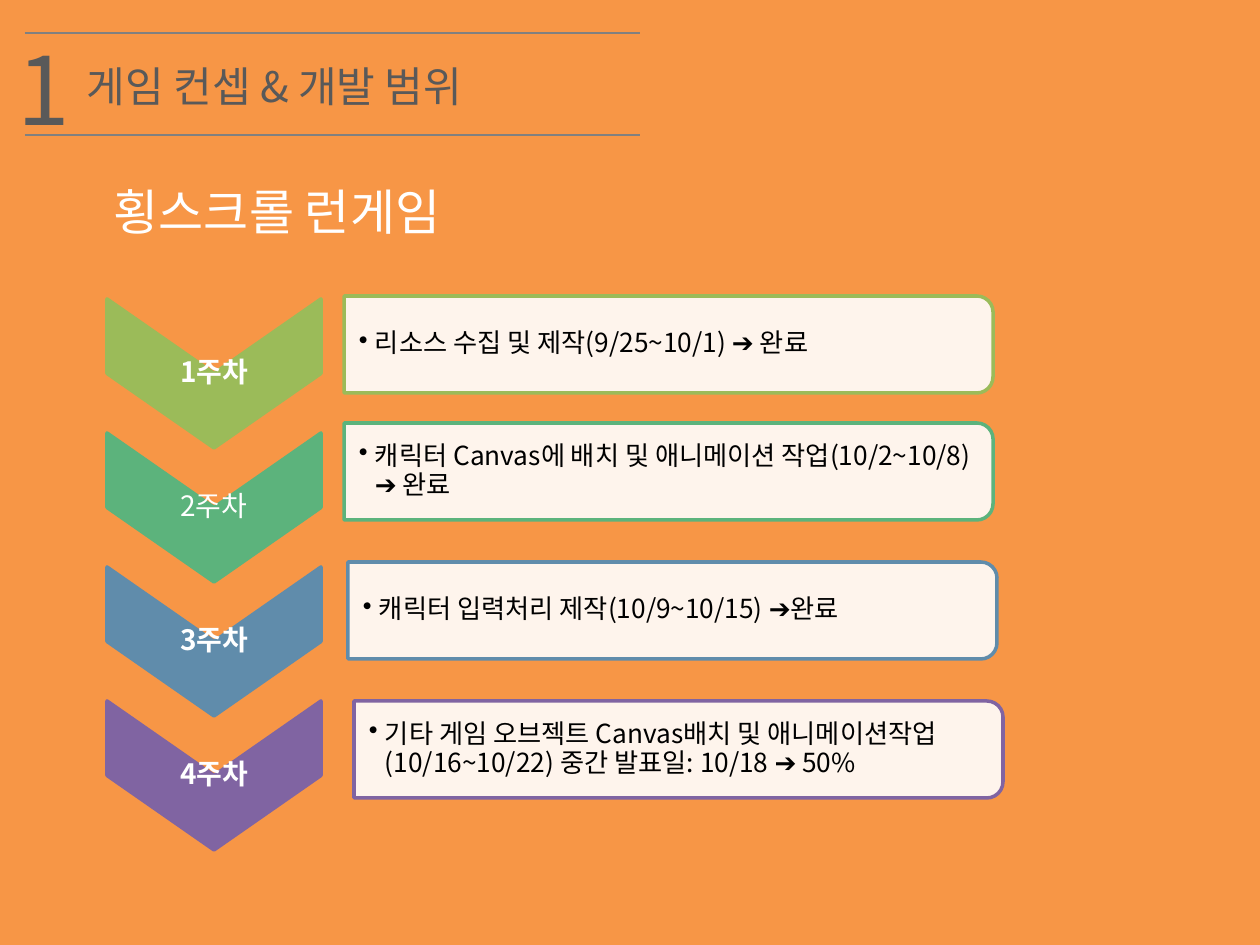
from lxml import etree
from pptx import Presentation
from pptx.dml.color import RGBColor
from pptx.enum.shapes import MSO_CONNECTOR, MSO_SHAPE
from pptx.enum.text import MSO_ANCHOR, PP_ALIGN
from pptx.oxml.ns import qn
from pptx.util import Emu, Pt

RECTANGLE = MSO_SHAPE.RECTANGLE
CHEVRON = MSO_SHAPE.CHEVRON
CARD = MSO_SHAPE.ROUND_2_SAME_RECTANGLE
STRAIGHT = MSO_CONNECTOR.STRAIGHT
TOP, MIDDLE = MSO_ANCHOR.TOP, MSO_ANCHOR.MIDDLE
LEFT, CENTER = PP_ALIGN.LEFT, PP_ALIGN.CENTER

FONT = "Noto Sans CJK KR"
ORANGE, WHITE, BLACK = "F79646", "FFFFFF", "000000"
DARK_GRAY, LINE_GRAY = "595959", "808080"

WEEK_PITCH = 134
WEEKS = [
    ("1주차", True, "9BBB59", 344, 296,
     "리소스 수집 및 제작(9/25~10/1) ➔ 완료"),
    ("2주차", False, "5CB37C", 344, 423,
     "캐릭터 Canvas에 배치 및 애니메이션 작업(10/2~10/8) ➔ 완료"),
    ("3주차", True, "608CAB", 348, 562,
     "캐릭터 입력처리 제작(10/9~10/15) ➔완료"),
    ("4주차", True, "8064A2", 354, 701,
     "기타 게임 오브젝트 Canvas배치 및 애니메이션작업(10/16~10/22) 중간 발표일: 10/18 ➔ 50%"),
]


def px(length):
    return Emu(round(length * 914400 / 126))


def color(value):
    return RGBColor.from_string(value)


def write_text(frame, text, size, fill, bold=False, align=LEFT, spacing=1.0, bullet_indent=0):
    paragraph = frame.paragraphs[0]
    paragraph.alignment = align
    paragraph.line_spacing = spacing
    if bullet_indent:
        properties = paragraph._p.get_or_add_pPr()
        properties.set("marL", str(px(bullet_indent)))
        properties.set("indent", str(-px(bullet_indent)))
        etree.SubElement(properties, qn("a:buChar")).set("char", "•")
    run = paragraph.add_run()
    run.text = text
    run.font.size = Pt(size)
    run.font.bold = bold
    run.font.color.rgb = color(fill)
    run.font.name = FONT
    etree.SubElement(run._r.get_or_add_rPr(), qn("a:ea")).set("typeface", FONT)


class SlideBuilder:
    def __init__(self, slide):
        self.slide = slide

    def shape(self, kind, left, top, width, height, fill, line=None, quarter_turn=False, opacity=100):
        if quarter_turn:
            left, top = left + (width - height) / 2, top + (height - width) / 2
            width, height = height, width
        shape = self.slide.shapes.add_shape(kind, px(left), px(top), px(width), px(height))
        shape.shadow.inherit = False
        shape.rotation = 90 if quarter_turn else 0
        shape.fill.solid()
        shape.fill.fore_color.rgb = color(fill)
        if opacity < 100:
            fill_color = shape._element.spPr.find(qn("a:solidFill"))[0]
            etree.SubElement(fill_color, qn("a:alpha")).set("val", str(opacity * 1000))
        if line:
            shape.line.color.rgb = color(line)
            shape.line.width = Pt(2)
        else:
            shape.line.fill.background()

    def rule(self, left, right, y):
        connector = self.slide.shapes.add_connector(STRAIGHT, px(left), px(y), px(right), px(y))
        connector.line.color.rgb = color(LINE_GRAY)
        connector.line.width = Pt(0.75)
        etree.SubElement(connector._element.spPr, qn("a:effectLst"))

    def text(self, left, top, width, height, text, insets=(13, 6, 13, 6), anchor=TOP, **text_format):
        box = self.slide.shapes.add_textbox(px(left), px(top), px(width), px(height))
        frame = box.text_frame
        frame.word_wrap = True
        frame.vertical_anchor = anchor
        frame.margin_left, frame.margin_top, frame.margin_right, frame.margin_bottom = map(px, insets)
        write_text(frame, text, **text_format)

    def week(self, index, label, bold, accent, card_left, card_top, task):
        top = 299 + index * WEEK_PITCH
        self.shape(CHEVRON, 107, top, 214, 149, accent, accent, quarter_turn=True)
        self.text(107, top, 214, 149, label, insets=(1, 1, 1, 1), anchor=MIDDLE,
                  size=16, fill=WHITE, bold=bold, align=CENTER, spacing=0.9)
        self.shape(CARD, card_left, card_top, 649, 97, WHITE, accent, quarter_turn=True, opacity=90)
        self.text(card_left, card_top + 5, 644, 87, task, insets=(15, 1, 1, 1), anchor=MIDDLE,
                  size=15, fill=BLACK, spacing=0.9, bullet_indent=16)


def main():
    presentation = Presentation()
    presentation.slide_width = px(1260)
    presentation.slide_height = px(945)
    builder = SlideBuilder(presentation.slides.add_slide(presentation.slide_layouts[6]))

    builder.shape(RECTANGLE, 0, 0, 1264, 945, ORANGE)
    builder.text(74, 55, 883, 63, "게임 컨셉 & 개발 범위", size=24, fill=DARK_GRAY)
    builder.text(5, 25, 100, 127, "1", size=54, fill=DARK_GRAY)
    for y in (33, 135):
        builder.rule(25, 640, y)
    for index, week in enumerate(WEEKS):
        builder.week(index, *week)
    builder.text(101, 175, 929, 72, "횡스크롤 런게임", size=28, fill=WHITE)

    presentation.save("out.pptx")


if __name__ == "__main__":
    main()
